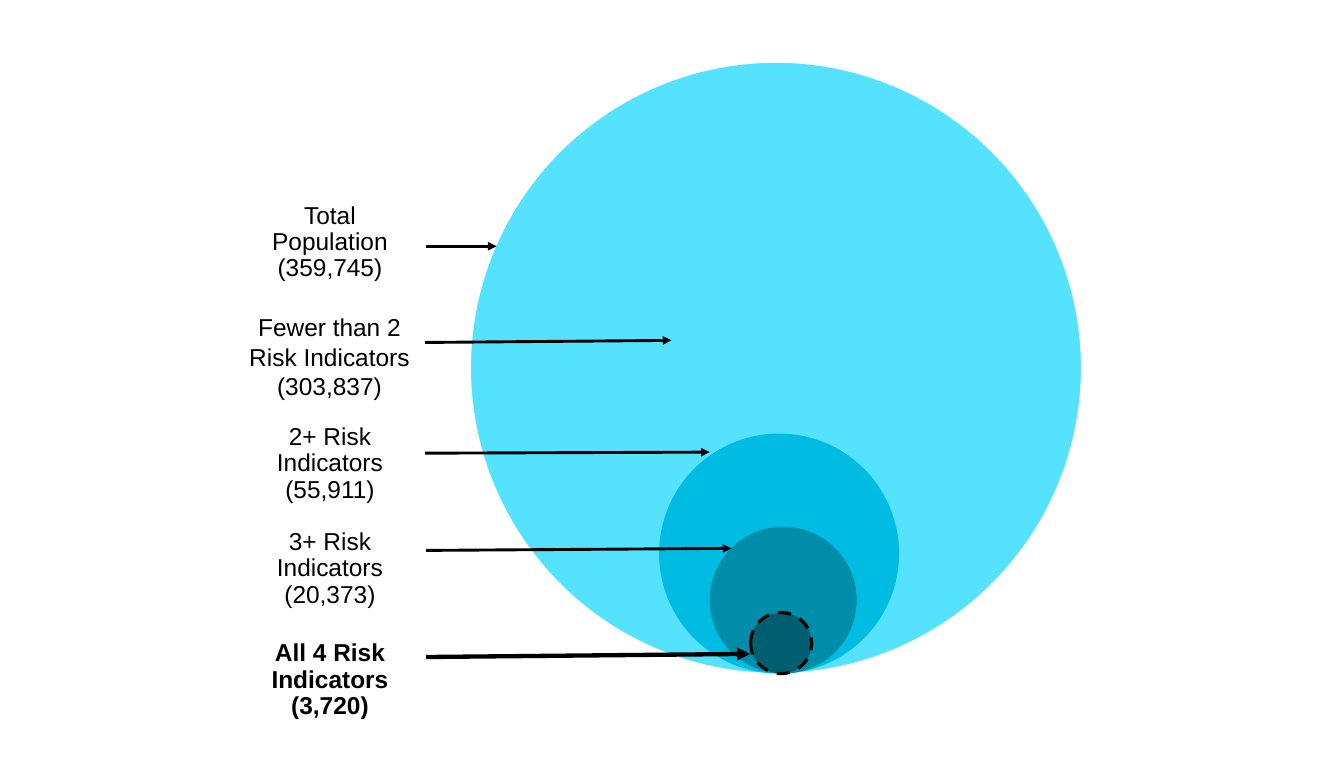
from dataclasses import dataclass

from lxml.etree import SubElement
from pptx import Presentation
from pptx.dml.color import RGBColor
from pptx.enum.dml import MSO_LINE
from pptx.enum.shapes import MSO_CONNECTOR, MSO_SHAPE
from pptx.enum.text import MSO_ANCHOR, PP_ALIGN
from pptx.oxml.ns import qn
from pptx.slide import Slide
from pptx.util import Inches, Pt

BLACK = "000000"
CIRCLES_BOTTOM = 6.51


@dataclass
class Circle:
    center_x: float
    diameter: float
    fill: str
    line: str = ""
    line_width: float = 1
    dashed: bool = False


@dataclass
class Arrow:
    start: tuple[float, float]
    end: tuple[float, float]
    width: float = 2


@dataclass
class Label:
    name: str
    count: str
    box: tuple[float, float, float, float]
    inset_x: float = 0.13
    inset_y: float = 0.13
    spacing: float = 0.9
    anchor: MSO_ANCHOR = MSO_ANCHOR.MIDDLE
    bold: bool = False


CIRCLES = [
    Circle(7.5, 5.91, "55E2FF", "FFFFFF"),
    Circle(7.53, 2.32, "00BCE2"),
    Circle(7.57, 1.42, "008DAA"),
    Circle(7.55, 0.59, "005E71", BLACK, 2.25, dashed=True),
]

ARROWS = [
    Arrow((4.12, 2.38), (4.8, 2.38)),
    Arrow((4.11, 3.31), (6.49, 3.29)),
    Arrow((4.11, 4.38), (6.86, 4.37)),
    Arrow((4.12, 5.32), (7.07, 5.3)),
    Arrow((4.12, 6.35), (7.25, 6.32), width=3),
]

LABELS = [
    Label("Total Population", "(359,745)", (2.36, 1.9, 1.66, 0.89), 0.15, 0.15),
    Label("Fewer than 2 Risk Indicators", "(303,837)", (2.16, 2.97, 2.05, 0.77),
          0.1, 0.05, spacing=1.0, anchor=MSO_ANCHOR.TOP),
    Label("2+ Risk Indicators", "(55,911)", (2.36, 4.06, 1.66, 0.85)),
    Label("3+ Risk Indicators", "(20,373)", (2.36, 5.1, 1.66, 0.8)),
    Label("All 4 Risk Indicators", "(3,720)", (2.35, 5.98, 1.68, 1.19), bold=True),
]


def color(value: str) -> RGBColor:
    return RGBColor.from_string(value)


def add_circle(s: Slide, circle: Circle) -> None:
    """Draw a circle resting on the common bottom edge."""
    size = Inches(circle.diameter)
    sp = s.shapes.add_shape(
        MSO_SHAPE.OVAL, Inches(circle.center_x - circle.diameter / 2),
        Inches(CIRCLES_BOTTOM - circle.diameter), size, size)
    sp.shadow.inherit = False
    sp.fill.solid()
    sp.fill.fore_color.rgb = color(circle.fill)
    if not circle.line:
        sp.line.fill.background()
        return
    sp.line.color.rgb = color(circle.line)
    sp.line.width = Pt(circle.line_width)
    if circle.dashed:
        sp.line.dash_style = MSO_LINE.DASH


def add_arrow(s: Slide, arrow: Arrow) -> None:
    points = [Inches(v) for v in (*arrow.start, *arrow.end)]
    line = s.shapes.add_connector(MSO_CONNECTOR.STRAIGHT, *points)
    line.line.color.rgb = color(BLACK)
    line.line.width = Pt(arrow.width)
    SubElement(line.line._get_or_add_ln(), qn("a:tailEnd"), type="triangle")
    SubElement(line._element.spPr, qn("a:effectLst"))


def add_label(s: Slide, label: Label) -> None:
    sp = s.shapes.add_textbox(*(Inches(v) for v in label.box))
    tf = sp.text_frame
    tf.word_wrap = True
    tf.vertical_anchor = label.anchor
    tf.margin_left = tf.margin_right = Inches(label.inset_x)
    tf.margin_top = tf.margin_bottom = Inches(label.inset_y)
    tf.text = f"{label.name}\n{label.count}"
    for p in tf.paragraphs:
        p.alignment = PP_ALIGN.CENTER
        p.line_spacing = label.spacing
        p.font.name = "Arial"
        p.font.size = Pt(17)
        p.font.bold = label.bold
        p.font.color.rgb = color(BLACK)


def main() -> None:
    prs = Presentation()
    prs.slide_width = Inches(12.99)
    prs.slide_height = Inches(7.5)
    s = prs.slides.add_slide(prs.slide_layouts[6])

    # Nested population circles, largest at the back
    for circle in CIRCLES:
        add_circle(s, circle)

    # Arrows from the labels to the circles
    for arrow in ARROWS:
        add_arrow(s, arrow)

    # Labels with population counts
    for label in LABELS:
        add_label(s, label)

    prs.save("out.pptx")


if __name__ == "__main__":
    main()
